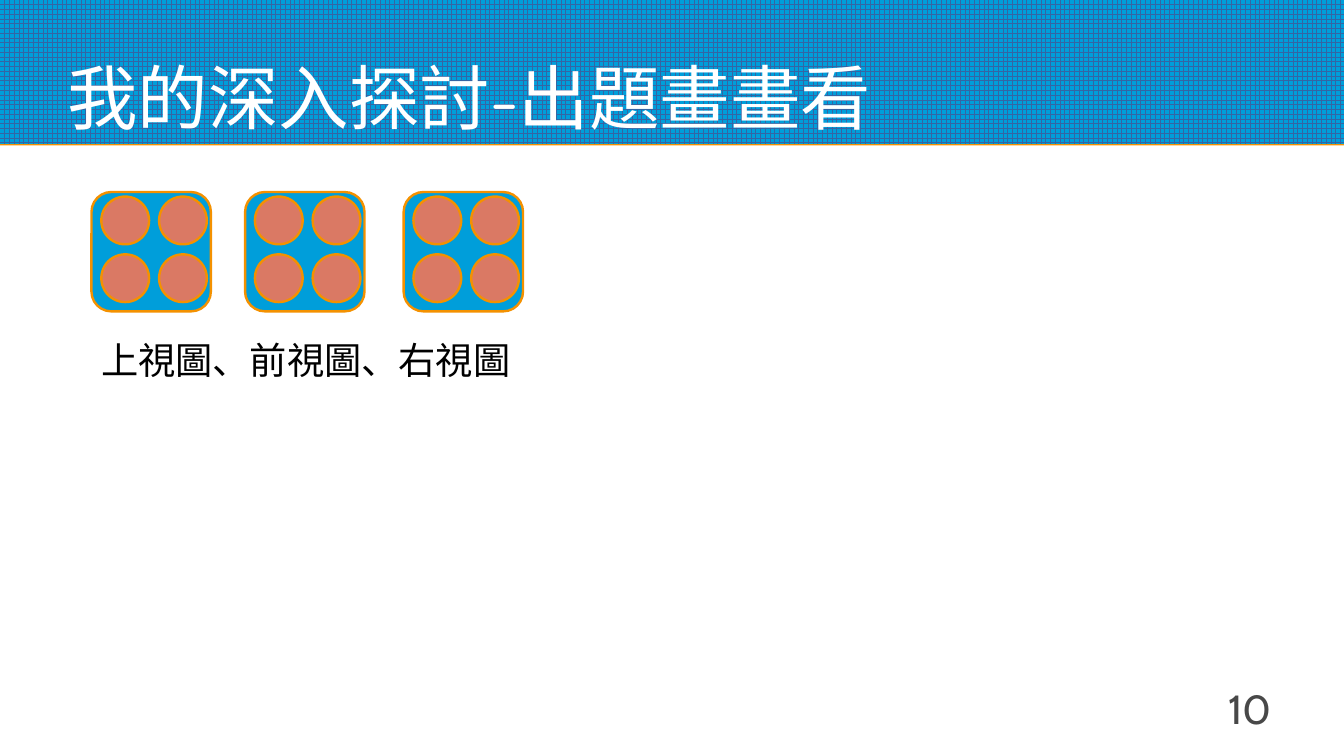
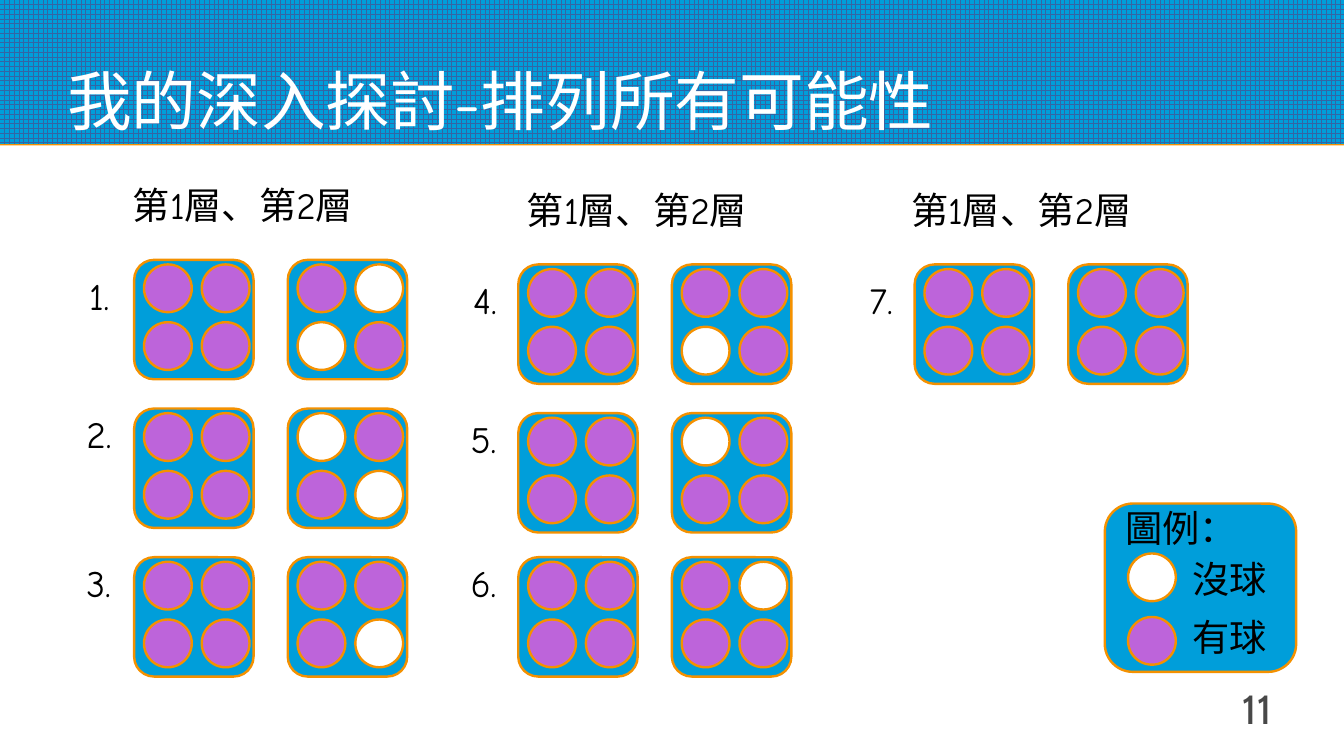
import pptx
import pptx.util
import pptx.dml.color
import pptx.enum.dml
import pptx.enum.shapes
import pptx.enum.text
import pptx.oxml.ns
import lxml.etree

Pt = pptx.util.Pt
qn = pptx.oxml.ns.qn
KIND = pptx.enum.shapes.MSO_SHAPE
ANCHOR = pptx.enum.text.MSO_ANCHOR
ALIGN = pptx.enum.text.PP_ALIGN

HUE = {
    "blue": "009EDA", "grid": "3465A4", "edge": "F49100", "coral": "DA7964",
    "purple": "BD64DA", "white": "FFFFFF", "black": "000000", "gray": "484848",
}
WIDE, HIGH = 793.5, 446.5
CARD, BALL, STEP = 70.5, 28.2, 34.1
PAIR = 90.7
HEAD = "第1層、第2層"
FULL = "●●●●"

COLS = [
    (79.2, -3.6, [153.5, 241.3, 329.1], ["●○○●", "○●●○", "●●●○"]),
    (306, 2.2, [156.2, 244, 329.1], ["●●○●", "○●●●", "●○●●"]),
    (540, -5, [156.2], [FULL]),
]


def rgb(name):
    """Return the named colour."""
    return pptx.dml.color.RGBColor.from_string(HUE[name])


def shape(slide, kind, box, fill):
    """Add a filled preset shape with an orange edge."""
    item = slide.shapes.add_shape(kind, *map(Pt, box))
    item.shadow.inherit = False
    item.fill.solid()
    item.fill.fore_color.rgb = rgb(fill)
    item.line.color.rgb = rgb("edge")
    item.line.width = Pt(1.42)
    return item


def text(slide, box, words, size=22, face="Comic Neue", hue="black",
         inset=2.9, anchor=ANCHOR.MIDDLE, align=ALIGN.LEFT):
    """Add one paragraph of text in a box."""
    frame = slide.shapes.add_textbox(*map(Pt, box)).text_frame
    frame.word_wrap = True
    frame.vertical_anchor = anchor
    frame.margin_left = frame.margin_right = Pt(inset)
    frame.margin_top = frame.margin_bottom = Pt(inset)
    para = frame.paragraphs[0]
    para.text = words
    para.alignment = align
    font = para.font
    font.size = Pt(size)
    font.color.rgb = rgb(hue)
    font.name = face
    latin = para._p.find(".//" + qn("a:latin"))
    east = lxml.etree.Element(qn("a:ea"), typeface="Noto Sans CJK SC")
    latin.addnext(east)


def band(slide):
    """Add the grid band with its orange lower edge."""
    item = slide.shapes.add_shape(KIND.RECTANGLE, 0, 0, Pt(WIDE), Pt(85))
    item.shadow.inherit = False
    item.line.fill.background()
    item.fill.patterned()
    item.fill.pattern = pptx.enum.dml.MSO_PATTERN.LARGE_GRID
    item.fill.fore_color.rgb = rgb("grid")
    item.fill.back_color.rgb = rgb("blue")
    effect = item._element.spPr.find(qn("a:effectLst"))
    shade = lxml.etree.SubElement(
        effect, qn("a:outerShdw"), blurRad="0", dist=str(Pt(0.9)),
        dir="5400000", algn="ctr", rotWithShape="0")
    lxml.etree.SubElement(shade, qn("a:srgbClr"), val=HUE["edge"])


def page(deck, title, size, number):
    """Add a slide with band, title and page number."""
    slide = deck.slides.add_slide(deck.slide_layouts[6])
    band(slide)
    text(slide, (39.6, 7.2, 714.2, 74.9), title, size, hue="white",
         inset=0, anchor=ANCHOR.BOTTOM)
    text(slide, (566.6, 403.9, 184.3, 35.3), number, 24, "Cabin", "gray",
         inset=0, anchor=ANCHOR.TOP, align=ALIGN.RIGHT)
    return slide


def ball(slide, x, y, fill):
    """Add one ball."""
    shape(slide, KIND.OVAL, (x, y, BALL, BALL), fill)


def card(slide, x, y, marks, full):
    """Add a card with a two by two grid of balls."""
    shape(slide, KIND.ROUNDED_RECTANGLE, (x, y, CARD, CARD), "blue")
    for spot, mark in enumerate(marks):
        row, col = divmod(spot, 2)
        ball(slide, x + 5.8 + col * STEP, y + 2.7 + row * STEP,
             full if mark == "●" else "white")


def column(slide, x, shift, tops, cases, first):
    """Add a heading and the numbered pairs of cards below it."""
    text(slide, (x + shift, tops[0] - 51.1, 175, 37.4), HEAD)
    for row, (y, marks) in enumerate(zip(tops, cases)):
        dx, dy = (-31, -2.9) if row else (-29.5, 2.9)
        text(slide, (x + dx, y + dy, 30, 36), f"{first + row}.")
        card(slide, x, y, FULL, "purple")
        card(slide, x + PAIR, y, marks, "purple")


def legend(slide, x, y):
    """Add the key to the ball colours."""
    shape(slide, KIND.ROUNDED_RECTANGLE, (x, y, 113, 99.4), "blue")
    text(slide, (x + 9.4, y - 4.3, 80, 37.4), "圖例：")
    for drop, rise, fill, words in (
            (29.5, 25.9, "white", "沒球"), (67, 59.8, "purple", "有球")):
        ball(slide, x + 13.7, y + drop, fill)
        text(slide, (x + 49, y + rise, 60, 37.4), words)


def views(deck):
    """Build the slide with the three views."""
    slide = page(deck, "我的深入探討-出題畫畫看", 41.6, "10")
    for x in (54, 144.7, 238.3):
        card(slide, x, 113.4, FULL, "coral")
    text(slide, (56.9, 193.7, 255, 37.4), "上視圖、前視圖、右視圖")


def cases(deck):
    """Build the slide with all the arrangements."""
    slide = page(deck, "我的深入探討-排列所有可能性", 38.2, "11")
    first = 1
    for x, shift, tops, marks in COLS:
        column(slide, x, shift, tops, marks, first)
        first += len(tops)
    legend(slide, 652.3, 297.4)


def main():
    """Build and save the deck."""
    deck = pptx.Presentation()
    deck.slide_width, deck.slide_height = Pt(WIDE), Pt(HIGH)
    views(deck)
    cases(deck)
    deck.save("out.pptx")


if __name__ == "__main__":
    main()
